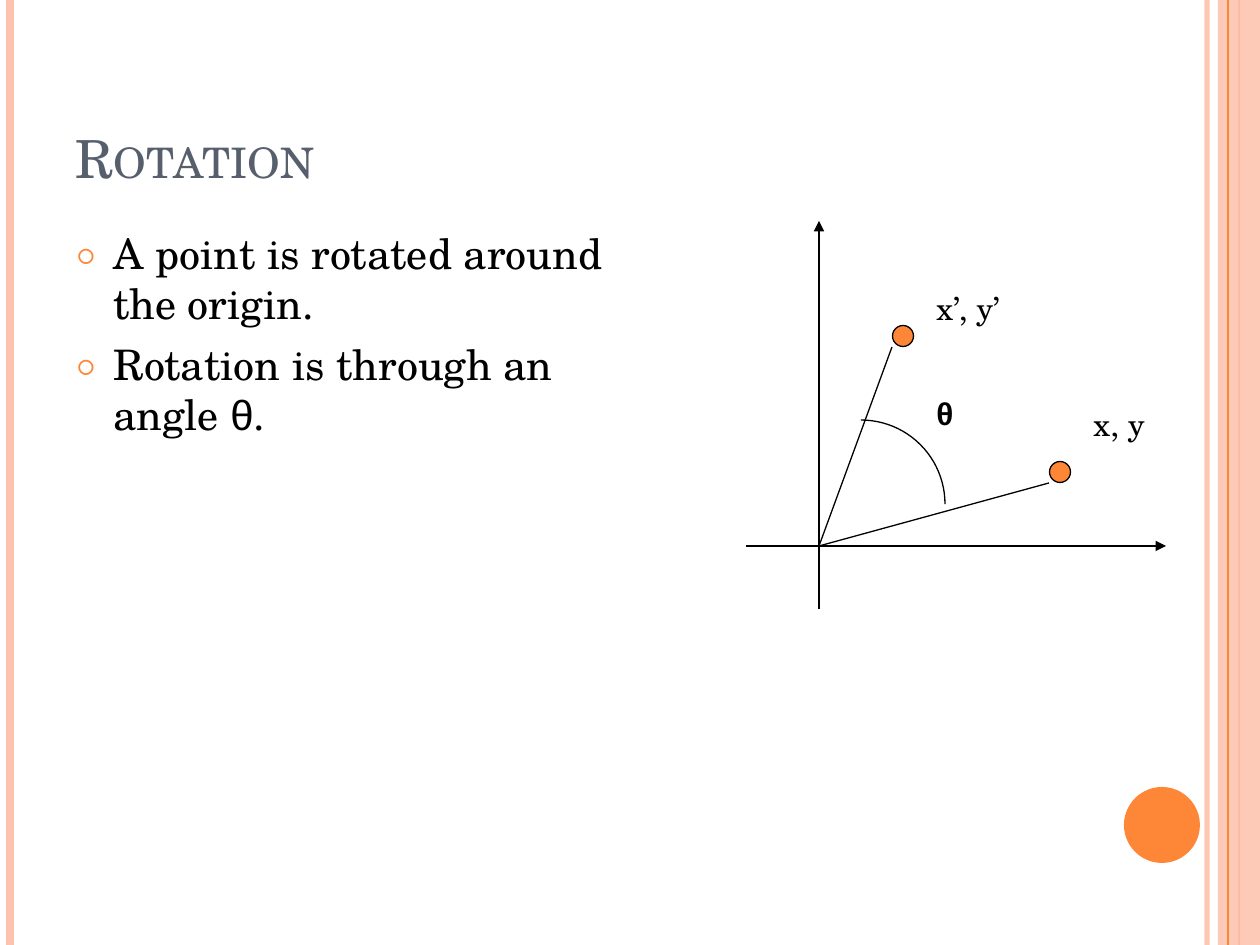
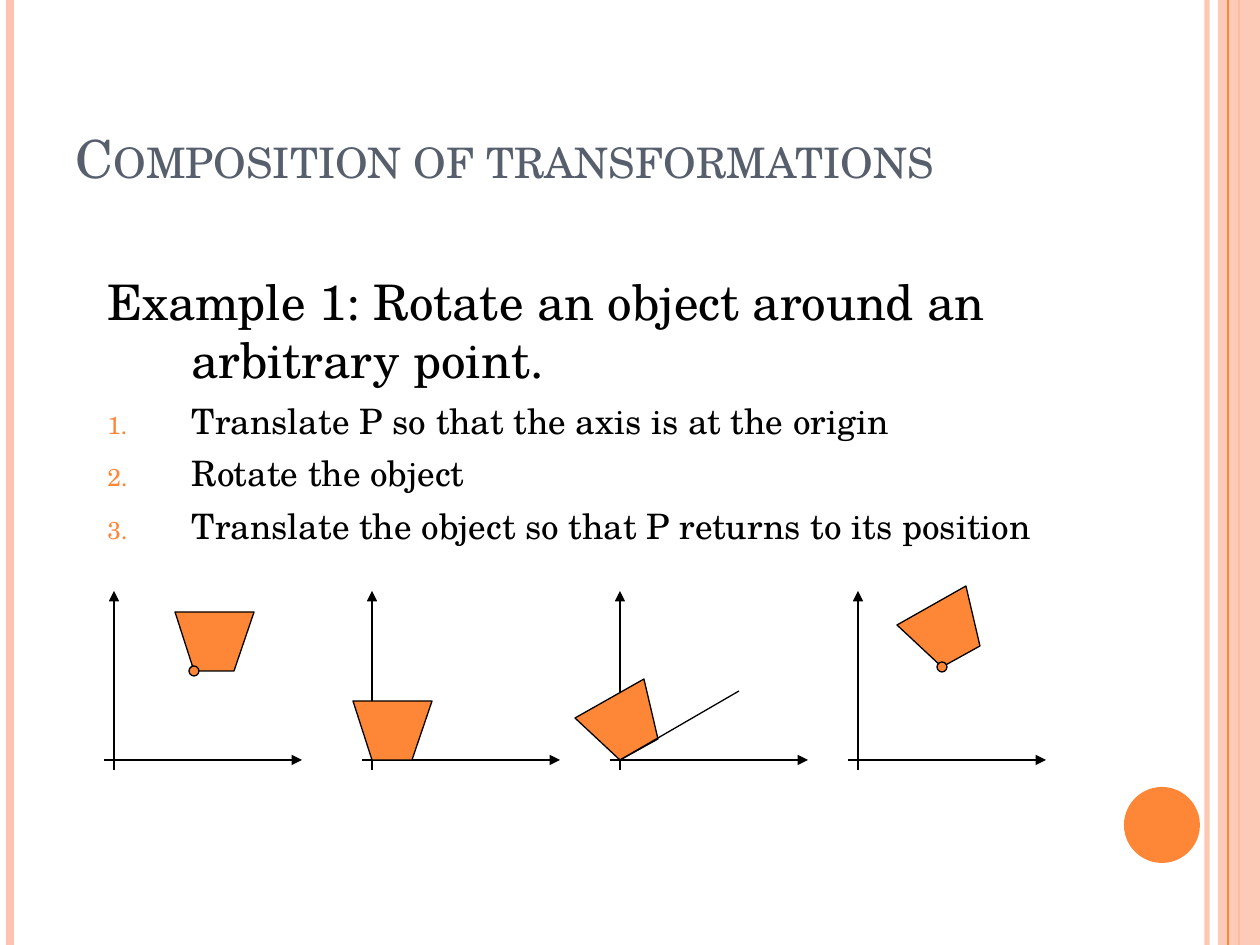
from lxml.etree import SubElement
from pptx import Presentation
from pptx.dml.color import RGBColor
from pptx.enum.shapes import MSO_CONNECTOR, MSO_SHAPE
from pptx.enum.text import MSO_ANCHOR, MSO_AUTO_SIZE, PP_ALIGN
from pptx.oxml.ns import qn
from pptx.util import Emu, Pt

SCALE = 914400 / 126
WIDE, HIGH = 1260, 945
ORANGE, PEACH, SLATE, BLACK = "FE8637", "FEC3AE", "575F6D", "000000"
SERIF, SANS = "TeX Gyre Schola", "Arial"
LEVEL = [(-19, -59), (0, 0), (40, 0), (60, -59)]
TILTED = [(-45, -42), (0, 0), (38, -21), (24, -81)]


def px(count):
    """Turn px into EMU."""
    return Emu(round(count * SCALE))


def paint(color, tone, alpha=100):
    """Give a colour format a hex colour and an opacity in percent."""
    color.rgb = RGBColor.from_string(tone)
    if alpha < 100:
        node = next(color._xFill.iter(qn("a:srgbClr")))
        SubElement(node, qn("a:alpha"), val=str(alpha * 1000))


def fill(shape, tone, alpha=100, edge=None):
    """Give a shape a flat fill, an optional thin edge and no shadow."""
    shape.shadow.inherit = False
    if tone:
        shape.fill.solid()
        paint(shape.fill.fore_color, tone, alpha)
    else:
        shape.fill.background()
    if edge:
        paint(shape.line.color, edge)
        shape.line.width = Pt(0.75)
    else:
        shape.line.fill.background()


def line(slide, start, end, tone=BLACK, width=0.75, alpha=100, arrow=False):
    """Draw a straight line between two points."""
    ends = [px(n) for n in (*start, *end)]
    rule = slide.shapes.add_connector(MSO_CONNECTOR.STRAIGHT, *ends)
    paint(rule.line.color, tone, alpha)
    rule.line.width = Pt(width)
    if arrow:
        SubElement(rule.line._ln, qn("a:tailEnd"), type="triangle")
    SubElement(rule._element.spPr, qn("a:effectLst"))


def dot(slide, x, y, size, edge=BLACK):
    """Draw an orange dot centred on a point."""
    spot = slide.shapes.add_shape(
        MSO_SHAPE.OVAL, px(x - size / 2), px(y - size / 2), px(size), px(size))
    fill(spot, ORANGE, edge=edge)


def style(para, size, tone=BLACK, name=SERIF, bold=False):
    """Set the font of a paragraph."""
    font = para.font
    font.name, font.size, font.bold = name, Pt(size), bold
    paint(font.color, tone)


def frame(slide, box):
    """Add a wrapping text box and return its text frame."""
    text = slide.shapes.add_textbox(*map(px, box)).text_frame
    text.word_wrap = True
    return text


def label(slide, x, y, width, words, name=SERIF, bold=False):
    """Add a short label to a plot."""
    para = frame(slide, (x, y, width, 50)).paragraphs[0]
    para.text = words
    style(para, 18, name=name, bold=bold)


def bullet(para, indent, kind=None, **mark):
    """Set a hanging indent and an orange bullet of the given kind."""
    props = para._p.get_or_add_pPr()
    props.set("marL", str(px(indent)))
    props.set("indent", str(px(-indent)))
    if kind:
        tint = SubElement(props, qn("a:buClr"))
        SubElement(tint, qn("a:srgbClr"), val=ORANGE)
        SubElement(props, qn("a:buSzPct"), val="70000")
        SubElement(props, qn("a:buFont"), typeface=SERIF)
        SubElement(props, qn(kind), **mark)
    else:
        SubElement(props, qn("a:buNone"))
    para.space_before = Pt(6)


def bands(slide):
    """Draw the side bands and the corner disc."""
    def stripe(x, *look):
        line(slide, (x, 0), (x, HIGH), *look)

    stripe(1207, PEACH, 3, 93)
    stripe(10, PEACH, 4.5)
    stripe(1239, ORANGE, 1.5)
    strip = slide.shapes.add_shape(
        MSO_SHAPE.RECTANGLE, px(1218), 0, px(WIDE - 1218), px(HIGH))
    fill(strip, PEACH, 87)
    stripe(1228, ORANGE, 0.75)
    dot(slide, 1162, 825, 76, edge=None)


def start(deck, words):
    """Add a slide with its bands and title."""
    slide = deck.slides.add_slide(deck.slide_layouts[5])
    bands(slide)
    title = slide.shapes.title
    title.left, title.top, title.width, title.height = map(
        px, (63, 38, 1029, 157))
    text = title.text_frame
    text.text = words
    text.vertical_anchor = MSO_ANCHOR.BOTTOM
    text.auto_size = MSO_AUTO_SIZE.NONE
    para = text.paragraphs[0]
    para.alignment = PP_ALIGN.LEFT
    style(para, 30, SLATE)
    para.font._element.set("cap", "small")
    return slide


def axes(slide, box, left, down):
    """Draw two arrowed axes that fill a box and return their origin."""
    x, y, width, height = box
    zero, base = x + left, y + height - down
    line(slide, (zero, y + height), (zero, y), arrow=True)
    line(slide, (x, base), (x + width, base), arrow=True)
    return zero, base


def points(slide, box):
    """List what a rotation does."""
    text = frame(slide, box)
    lines = [["A point is rotated around the origin."],
             ["Rotation is through an angle ", "θ", "."]]
    for i, parts in enumerate(lines):
        para = text.add_paragraph() if i else text.paragraphs[0]
        bullet(para, 38, "a:buChar", char="○")
        style(para, 24)
        for part in parts:
            run = para.add_run()
            run.text = part
            if part == "θ":
                run.font.name = SANS


def swing(slide, box):
    """Plot a point turned through an angle about the origin."""
    x, y = axes(slide, box, 73, 63)
    for across, rise in ((241, -74), (84, -210)):
        dot(slide, x + across, y + rise, 21)
        line(slide, (x, y), (x + across - 11, y + rise + 11))
    arc = slide.shapes.add_shape(
        MSO_SHAPE.ARC, px(x - 42), px(y - 126), px(168), px(168))
    fill(arc, None, edge=BLACK)
    label(slide, x + 105, y - 158, 53, "θ", SANS, True)
    label(slide, x + 262, y - 147, 94, "x, y")
    label(slide, x + 105, y - 263, 94, "x’, y’")


def steps(slide, box):
    """State the example and number its steps."""
    text = frame(slide, box)
    lines = ["Example 1: Rotate an object around an arbitrary point.",
             "Translate P so that the axis is at the origin",
             "Rotate the object",
             "Translate the object so that P returns to its position"]
    for i, words in enumerate(lines):
        para = text.add_paragraph() if i else text.paragraphs[0]
        para.text = words
        if i:
            bullet(para, 84, "a:buAutoNum", type="arabicPeriod")
        else:
            bullet(para, 84)
        style(para, 20 if i else 28)


def stage(slide, box, shift, outline, pin=False, ray=False):
    """Plot the object at one stage, with its corner P shifted from zero."""
    zero, base = axes(slide, box, 10, 10)
    x, y = zero + shift[0], base + shift[1]
    corners = [(x + across, y + rise) for across, rise in outline]
    path = slide.shapes.build_freeform(*corners[0], scale=SCALE)
    path.add_line_segments(corners[1:], close=True)
    fill(path.convert_to_shape(), ORANGE, edge=BLACK)
    if pin:
        dot(slide, x, y, 10)
    if ray:
        line(slide, (zero, base), (zero + 119, base - 69))


def main():
    """Build both slides and save them."""
    deck = Presentation()
    deck.slide_width, deck.slide_height = px(WIDE), px(HIGH)

    turn = start(deck, "Rotation")
    points(turn, (63, 221, 567, 624))
    swing(turn, (746, 221, 420, 388))

    chain = start(deck, "Composition of transformations")
    steps(chain, (95, 265, 1071, 567))
    stages = [(104, (80, -89), LEVEL, True, False),
              (362, (0, 0), LEVEL, False, False),
              (610, (0, 0), TILTED, False, True),
              (848, (84, -93), TILTED, True, False)]
    for x, *rest in stages:
        stage(chain, (x, 591, 198, 179), *rest)

    deck.save("out.pptx")


if __name__ == "__main__":
    main()
